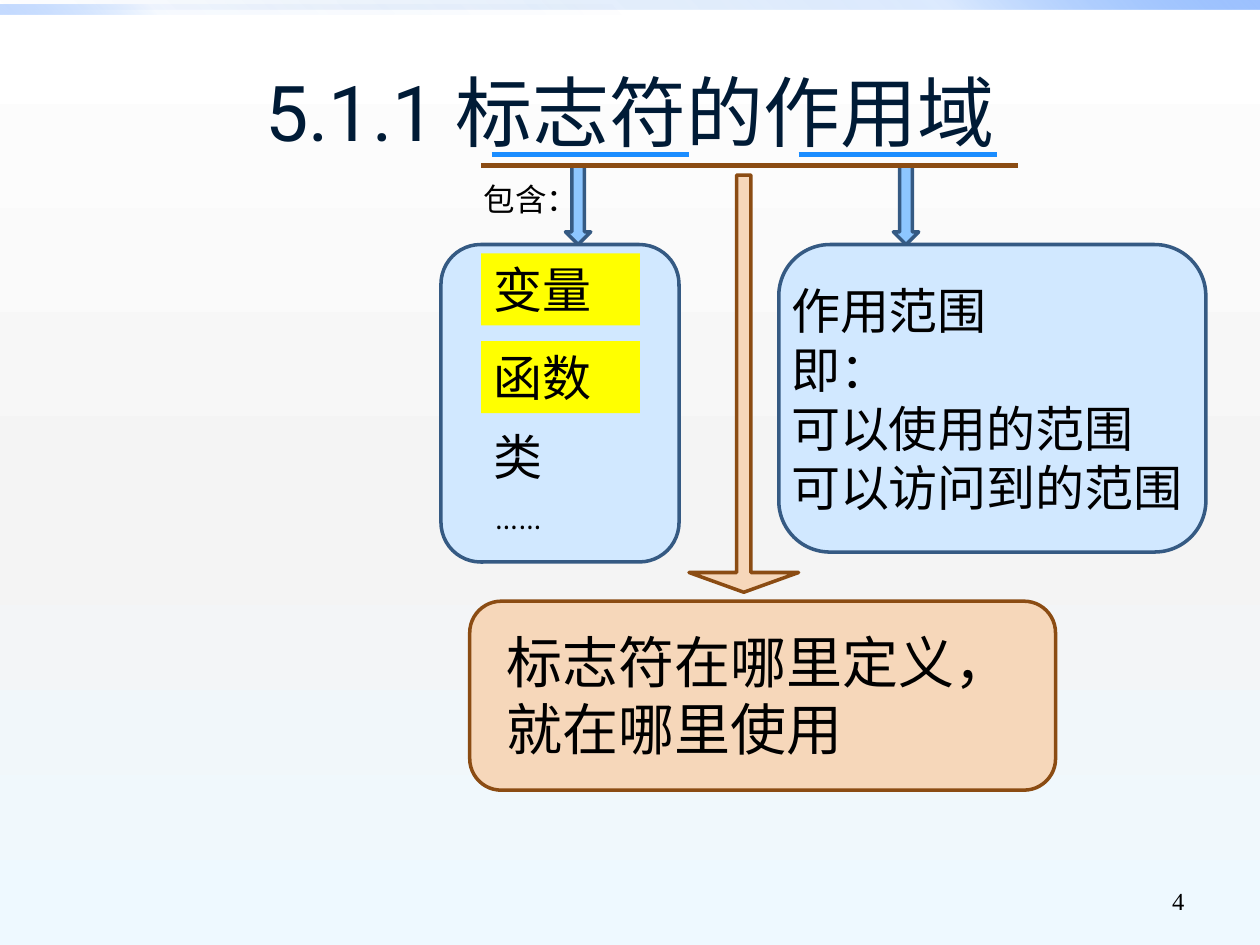
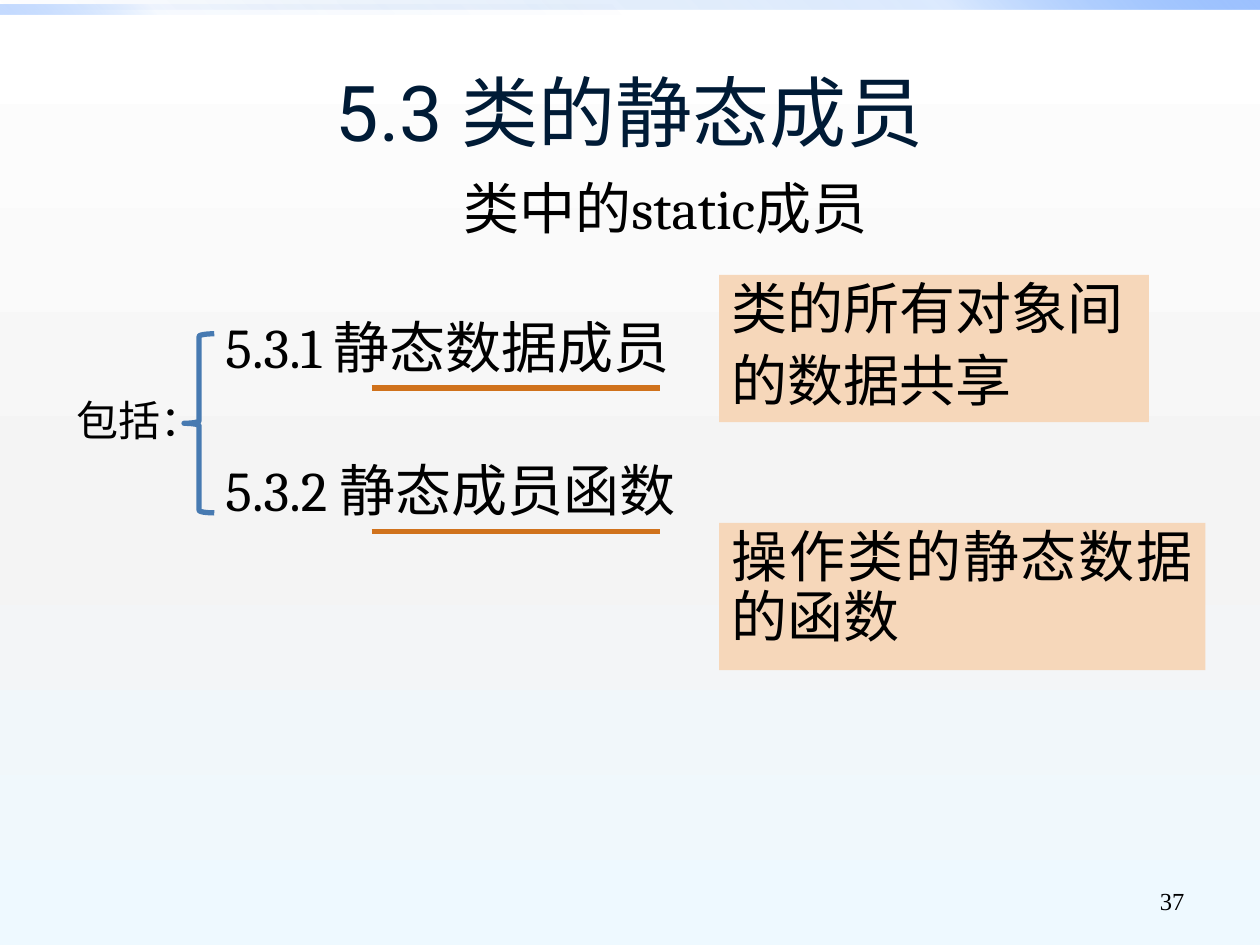
from lxml.etree import SubElement
from pptx import Presentation
from pptx.dml.color import RGBColor
from pptx.enum.shapes import MSO_CONNECTOR, MSO_SHAPE as SHAPE
from pptx.enum.text import MSO_ANCHOR as ANCHOR, MSO_AUTO_SIZE, PP_ALIGN as ALIGN
from pptx.oxml.ns import qn
from pptx.util import Cm, Pt

INK, NAVY = "000000", "001B36"
PEACH, BROWN, ORANGE = "F6D7BA", "8B4C13", "D0721C"
PALE_BLUE, SKY, STEEL = "D1E8FF", "8DC6FF", "355A83"
BRIGHT_BLUE, BRACE_BLUE, YELLOW = "1B8DFF", "477AB1", "FFFF00"

# Gradient stops: position %, colour, opacity %
BACKDROP = [(0, "FFFFFF", 100), (55, "F4F4F4", 100), (100, "EEF9FF", 100)]
BANDS = [
    ((0, 0, 25.4, 0.2), 315,
     [(0, "0058B7", 0), (75, "4F95FF", 20), (100, "9EC2FF", 100)]),
    ((0, 0.1, 12.7, 0.2), 135,
     [(0, "0058B7", 0), (75, "4F95FF", 5), (100, "9EC2FF", 60)]),
]

PLAIN = {"alignment": ALIGN.LEFT}
JUSTIFIED = {"alignment": ALIGN.JUSTIFY, "line_spacing": 0.9}
TITLE = {"alignment": ALIGN.CENTER, "line_spacing": 0.9}
PAGE_NUMBER = {"alignment": ALIGN.RIGHT}


def rgb(hex_colour):
    return RGBColor.from_string(hex_colour)


def place(shape, box):
    for side, length in zip(("left", "top", "width", "height"), box):
        setattr(shape, side, Cm(length))


def gradient(owner, fill, stops, angle):
    """Fill a shape or a background with stops that may be transparent."""
    fill.gradient()
    grad = next(owner.element.iter(qn("a:gradFill")))
    grad.clear()
    stop_list = SubElement(grad, qn("a:gsLst"))
    for position, colour, opacity in stops:
        stop = SubElement(stop_list, qn("a:gs"), pos=str(position * 1000))
        tint = SubElement(stop, qn("a:srgbClr"), val=colour)
        if opacity < 100:
            SubElement(tint, qn("a:alpha"), val=str(opacity * 1000))
    SubElement(grad, qn("a:lin"), ang=str(angle * 60000), scaled="0")


def add_figure(slide, preset, box, fill=None, line=None, width=2):
    figure = slide.shapes.add_shape(preset, *map(Cm, box))
    figure.shadow.inherit = False
    if fill:
        figure.fill.solid()
        figure.fill.fore_color.rgb = rgb(fill)
    else:
        figure.fill.background()
    if line:
        figure.line.color.rgb = rgb(line)
        figure.line.width = Pt(width)
    else:
        figure.line.fill.background()
    return figure


def write(shape, lines, size, layout=PLAIN, gap=0, font="Cambria",
          colour=INK, anchor=ANCHOR.TOP, wrap=True):
    """Set one paragraph per line, with the gap in points between them."""
    frame = shape.text_frame
    frame.text = "\n".join(lines)
    frame.auto_size = MSO_AUTO_SIZE.NONE
    frame.word_wrap = wrap
    frame.vertical_anchor = anchor
    look = {"size": Pt(size), "name": font, "bold": False}
    for index, paragraph in enumerate(frame.paragraphs):
        properties = paragraph._p.get_or_add_pPr()
        properties.set("marL", "0")
        properties.set("indent", "0")
        SubElement(properties, qn("a:buNone"))
        for name, value in layout.items():
            setattr(paragraph, name, value)
        paragraph.space_before = Pt(gap if index else 0)
        for run in paragraph.runs:
            for name, value in look.items():
                setattr(run.font, name, value)
            run.font.color.rgb = rgb(colour)


def add_text(slide, box, lines, size, **options):
    write(slide.shapes.add_textbox(*map(Cm, box)), lines, size, **options)


def add_note(slide, box, fill, lines, size, **options):
    """Text on a plain coloured rectangle."""
    write(add_figure(slide, SHAPE.RECTANGLE, box, fill), lines, size, **options)


def add_rule(slide, left, right, y, colour):
    rule = slide.shapes.add_connector(
        MSO_CONNECTOR.STRAIGHT, Cm(left), Cm(y), Cm(right), Cm(y))
    rule.line.color.rgb = rgb(colour)
    rule.line.width = Pt(3)
    SubElement(rule.element.spPr, qn("a:effectLst"))


def dress_master(deck, slide):
    """Give the master its backdrop and top bands, drawn by way of a slide."""
    master = deck.slide_master
    gradient(master, master.background.fill, BACKDROP, 90)
    for index, (box, angle, stops) in enumerate(BANDS):
        band = add_figure(slide, SHAPE.RECTANGLE, box)
        gradient(band, band.fill, stops, angle)
        band.element.nvSpPr.cNvPr.set("id", str(100 + index))
        master.shapes.element.insert(2 + index, band.element)


def add_slide(deck, layout, title, number):
    slide = deck.slides.add_slide(deck.slide_layouts.get_by_name(layout))
    place(slide.shapes.title, (1.27, 0.76, 22.86, 3.18))
    write(slide.shapes.title, [title], 44, layout=TITLE, font="Roboto",
          colour=NAVY, anchor=ANCHOR.MIDDLE)
    add_text(slide, (18.21, 17.65, 5.92, 1.02), [str(number)], 14,
             layout=PAGE_NUMBER, font="Times New Roman", anchor=ANCHOR.MIDDLE)
    return slide


def fill_scope(slide):
    add_figure(slide, SHAPE.ROUNDED_RECTANGLE, (9.47, 12.12, 11.81, 3.81),
               PEACH, BROWN)
    long_arrow = add_figure(slide, SHAPE.DOWN_ARROW, (13.89, 3.53, 2.21, 8.41),
                            PEACH, BROWN)
    long_arrow.adjustments[0] = 0.13
    long_arrow.adjustments[1] = 0.18

    for panel, arrow_left in (((15.7, 4.93, 8.61, 6.2), 18.01),
                              ((8.89, 4.93, 4.8, 6.4), 11.4)):
        add_figure(slide, SHAPE.ROUNDED_RECTANGLE, panel, PALE_BLUE, STEEL)
        add_figure(slide, SHAPE.DOWN_ARROW, (arrow_left, 3.33, 0.51, 1.6),
                   SKY, STEEL)
    add_text(slide, (9.5, 3.51, 1.9, 1.02), ["包含："], 18)

    for top, kind in ((5.11, "变量"), (6.88, "函数")):
        add_note(slide, (9.7, top, 3.2, 1.45), YELLOW, [kind], 28)
    add_text(slide, (9.7, 8.48, 3.2, 1.45), ["类"], 28)
    add_text(slide, (9.7, 9.91, 3.2, 1.02), ["……"], 18)

    add_text(slide, (15.7, 5.54, 8.61, 5.05),
             ["作用范围", "即：", "可以使用的范围", "可以访问到的范围"], 28)
    add_text(slide, (9.96, 12.52, 11.15, 3),
             ["标志符在哪里定义，", "就在哪里使用"], 32)

    for left, right in ((9.91, 13.89), (16.1, 20.09)):
        add_rule(slide, left, right, 3.12, BRIGHT_BLUE)
    add_rule(slide, 9.7, 20.52, 3.33, BROWN)


def fill_static_members(slide):
    sections = slide.placeholders[1]
    place(sections, (4.29, 6.32, 11.2, 5.59))
    write(sections, ["5.3.1 静态数据成员", "5.3.2 静态成员函数"], 32,
          layout=JUSTIFIED, gap=47.4)
    add_text(slide, (9.09, 3.53, 10.62, 2.01), ["类中的static成员"], 32,
             layout=JUSTIFIED)
    add_figure(slide, SHAPE.LEFT_BRACE, (3.71, 6.73, 0.61, 3.61),
               line=BRACE_BLUE, width=3)
    add_text(slide, (1.3, 7.82, 3.07, 2.11), ["包括："], 24, wrap=False)
    for y in (7.82, 10.72):
        add_rule(slide, 7.49, 13.31, y, ORANGE)
    for top, width, purpose in (
            (5.54, 8.66, ["类的所有对象间", "的数据共享"]),
            (10.54, 9.8, ["操作类的静态数据的函数"])):
        add_note(slide, (14.5, top, width, 2.97), PEACH, purpose, 32,
                 layout=JUSTIFIED, gap=6.4)


def main():
    deck = Presentation()
    deck.slide_width, deck.slide_height = Cm(25.4), Cm(19.05)
    scope = add_slide(deck, "Title Only", "5.1.1 标志符的作用域", 4)
    dress_master(deck, scope)
    fill_scope(scope)
    fill_static_members(
        add_slide(deck, "Title and Content", "5.3 类的静态成员", 37))
    deck.save("out.pptx")


if __name__ == "__main__":
    main()
